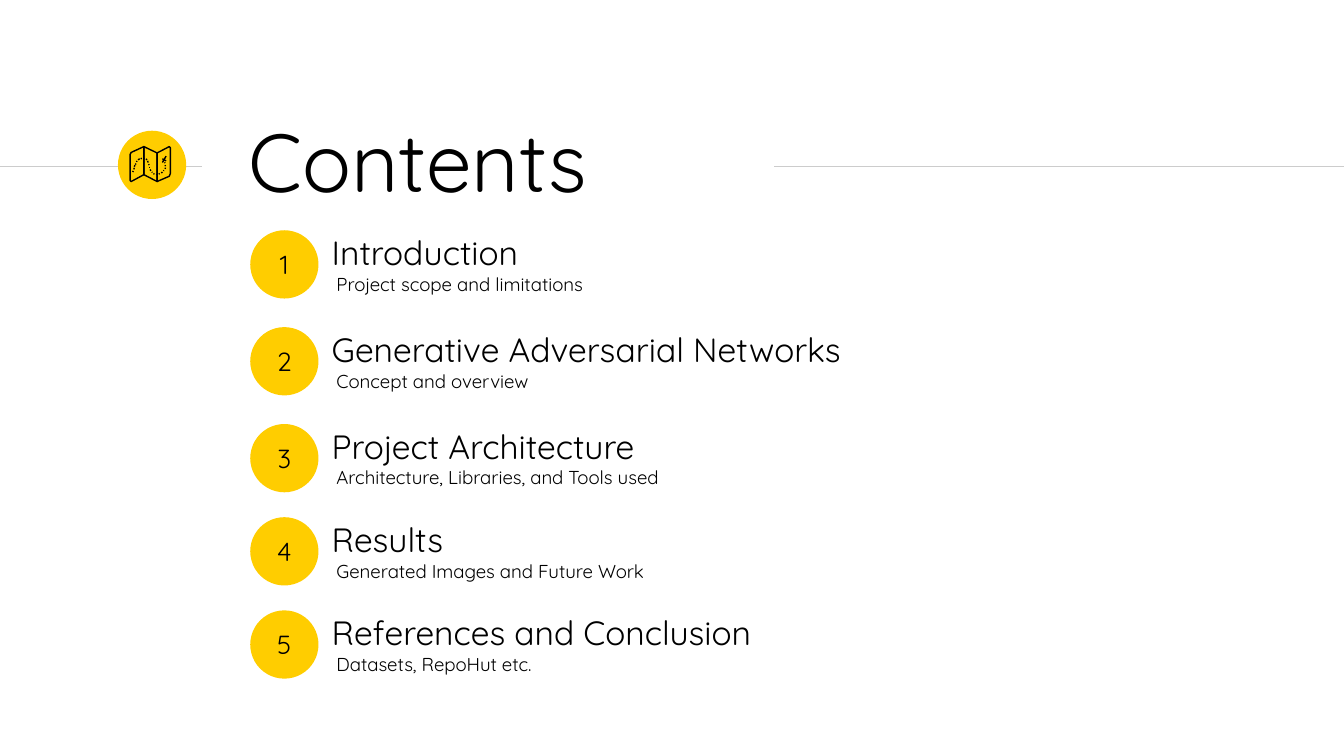
from lxml import etree
from pptx import Presentation
from pptx import util as u
from pptx.dml.color import RGBColor
from pptx.enum import shapes, text
from pptx.oxml.ns import qn

YELLOW = RGBColor(0xFF, 0xCD, 0x00)
BLACK = RGBColor(0, 0, 0)
GREY = RGBColor(0xCC, 0xCC, 0xCC)
FONT = "Quicksand"

# Content: top of the number circle (cm), heading, detail
TITLE = "Contents"
ITEMS = [
    (4.35, "Introduction", "Project scope and limitations"),
    (6.18, "Generative Adversarial Networks", "Concept and overview"),
    (8.01, "Project Architecture", "Architecture, Libraries, and Tools used"),
    (9.77, "Results", "Generated Images and Future Work"),
    (11.53, "References and Conclusion", "Datasets, RepoHut etc."),
]
RULES = [(0, 3.81), (14.63, 25.4)]
RULE_Y = 3.14
CIRCLE = 1.29

# Map icon, in hundredths of a centimetre
MAP_PANELS = [
    [(297, 289), (272, 277), (272, 330), (297, 343)],
    [(272, 277), (248, 288), (246, 292), (246, 341), (248, 343), (272, 330)],
    [(320, 277), (297, 289), (297, 343), (320, 333), (322, 328), (322, 279)],
]
MAP_CROSS = [[(307, 300), (314, 304)], [(314, 295), (307, 307)]]
MAP_TRAIL = [
    [(251, 325), (252, 323)], [(253, 320), (254, 317)], [(254, 315), (255, 312)],
    [(256, 311), (257, 309)], [(258, 306), (259, 304)], [(261, 302), (264, 300)],
    [(266, 300), (268, 299)], [(271, 299), (273, 300)], [(276, 300), (278, 302)],
    [(279, 304), (280, 307)], [(281, 310), (282, 312)], [(283, 315), (283, 318)],
    [(284, 320), (285, 323)], [(287, 325), (288, 326)], [(290, 328), (292, 329)],
    [(294, 330), (297, 330)], [(300, 329), (302, 328)], [(305, 327), (307, 325)],
    [(309, 323), (310, 322)], [(312, 319), (313, 317)], [(313, 314), (312, 312)],
    [(312, 308), (311, 307)],
]

prs = Presentation()
prs.slide_width, prs.slide_height = u.Cm(25.4), u.Cm(14.28)
s = prs.slides.add_slide(prs.slide_layouts[6])


def write(p, words, size):
    p.text = words
    for r in p.runs:
        r.font.name, r.font.size = FONT, u.Pt(size)
        r.font.color.rgb = BLACK


def add_circle(x, y):
    sp = s.shapes.add_shape(shapes.MSO_SHAPE.OVAL, u.Cm(x), u.Cm(y),
                            u.Cm(CIRCLE), u.Cm(CIRCLE))
    sp.shadow.inherit = False
    sp.fill.solid()
    sp.fill.fore_color.rgb = YELLOW
    sp.line.fill.background()
    return sp


def add_text(x, y, w, h):
    tf = s.shapes.add_textbox(u.Cm(x), u.Cm(y), u.Cm(w), u.Cm(h)).text_frame
    tf.word_wrap = True
    return tf


def add_stroke(points, close=False):
    builder = s.shapes.build_freeform(*points[0], scale=u.Cm(0.01))
    builder.add_line_segments(points[1:], close=close)
    sp = builder.convert_to_shape()
    sp.shadow.inherit = False
    sp.fill.background()
    sp.line.color.rgb, sp.line.width = BLACK, u.Pt(0.75)


# Rules on both sides of the title
for x1, x2 in RULES:
    line = s.shapes.add_connector(shapes.MSO_CONNECTOR.STRAIGHT, u.Cm(x1),
                                  u.Cm(RULE_Y), u.Cm(x2), u.Cm(RULE_Y))
    line.line.color.rgb, line.line.width = GREY, u.Pt(0.75)
    etree.SubElement(line._element.spPr, qn("a:effectLst"))

# Map icon
add_circle(2.23, 2.47)
for panel in MAP_PANELS:
    add_stroke(panel, close=True)
for stroke in MAP_CROSS + MAP_TRAIL:
    add_stroke(stroke)

# Numbered items
for number, (y, heading, detail) in enumerate(ITEMS, 1):
    tf = add_circle(4.73, y).text_frame
    tf.margin_left = tf.margin_right = tf.margin_top = tf.margin_bottom = 0
    tf.vertical_anchor = text.MSO_ANCHOR.MIDDLE
    write(tf.paragraphs[0], str(number), 14)
    tf.paragraphs[0].alignment = text.PP_ALIGN.CENTER

    tf = add_text(6.02, y - 0.09, 11.25, 1.45)
    write(tf.paragraphs[0], heading, 18)
    p = tf.add_paragraph()
    p._p.get_or_add_pPr().set("marL", str(u.Cm(0.09)))
    write(p, detail, 10)

# Title
tf = add_text(4.45, 2.24, 11.25, 1.55)
tf.margin_top = tf.margin_bottom = u.Cm(0.25)
tf.vertical_anchor = text.MSO_ANCHOR.MIDDLE
write(tf.paragraphs[0], TITLE, 44)

prs.save("out.pptx")
